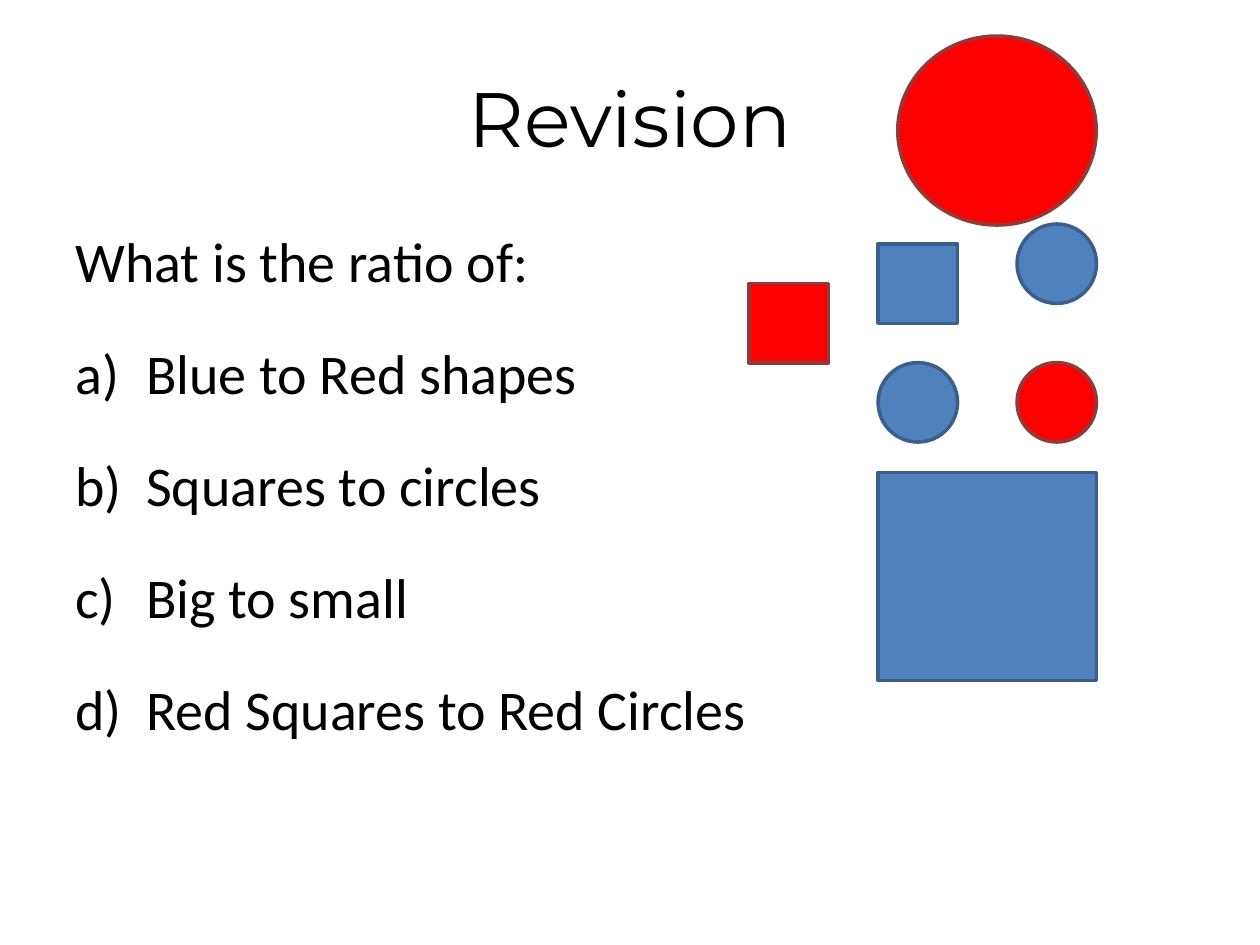
from lxml import etree
from pptx import Presentation
from pptx.dml.color import RGBColor
from pptx.enum.shapes import MSO_SHAPE
from pptx.enum.text import MSO_ANCHOR, PP_ALIGN
from pptx.oxml.ns import qn
from pptx.util import Pt

BLACK = RGBColor(0x00, 0x00, 0x00)
BLUE = RGBColor(0x4F, 0x81, 0xBD)
DARK_BLUE = RGBColor(0x3A, 0x5F, 0x8C)
RED = RGBColor(0xFF, 0x00, 0x00)
DARK_RED = RGBColor(0x8E, 0x3B, 0x39)
OUTLINES = {BLUE: DARK_BLUE, RED: DARK_RED}

SQUARE, CIRCLE = MSO_SHAPE.RECTANGLE, MSO_SHAPE.OVAL
SMALL = (45.4, 45.4)
LEFT_COLUMN, RIGHT_COLUMN = 501.8, 581.2
LOWER_ROW = 207.2


class RevisionSlide:
    title_font, title_size = "Montserrat", 44
    body_font, body_size = "Calibri", 32
    indent = 40.5

    def __init__(self, slide):
        self.slide = slide

    def add_run(self, paragraph, text, font_name, size):
        run = paragraph.add_run()
        run.text = text
        run.font.name = font_name
        run.font.size = Pt(size)
        run.font.color.rgb = BLACK

    def title(self, text, left, top, width, height):
        title = self.slide.shapes.title
        title.left, title.top = Pt(left), Pt(top)
        title.width, title.height = Pt(width), Pt(height)
        title.text_frame.vertical_anchor = MSO_ANCHOR.MIDDLE
        paragraph = title.text_frame.paragraphs[0]
        paragraph.alignment = PP_ALIGN.CENTER
        self.add_run(paragraph, text, self.title_font, self.title_size)

    def questions(self, prompt, parts, left, top, width, height):
        """Add the prompt followed by its parts, lettered a), b), c)..."""
        box = self.slide.shapes.add_textbox(Pt(left), Pt(top), Pt(width), Pt(height))
        frame = box.text_frame
        frame.word_wrap = True
        self.add_run(frame.paragraphs[0], prompt, self.body_font, self.body_size)
        for part in parts:
            paragraph = frame.add_paragraph()
            properties = paragraph._p.get_or_add_pPr()
            properties.set("marL", str(Pt(self.indent)))
            properties.set("indent", str(-Pt(self.indent)))
            etree.SubElement(properties, qn("a:buAutoNum"), type="alphaLcParenR")
            paragraph.line_spacing = 1.5
            paragraph.space_before = Pt(6.4)
            self.add_run(paragraph, part, self.body_font, self.body_size)

    def counter(self, kind, color, left, top, size=SMALL):
        """Add one of the coloured shapes to be counted."""
        width, height = size
        shape = self.slide.shapes.add_shape(kind, Pt(left), Pt(top), Pt(width), Pt(height))
        shape.shadow.inherit = False
        shape.fill.solid()
        shape.fill.fore_color.rgb = color
        shape.line.color.rgb = OUTLINES[color]
        shape.line.width = Pt(2)


def main():
    presentation = Presentation()
    presentation.slide_width, presentation.slide_height = Pt(720), Pt(540)
    revision = RevisionSlide(presentation.slides.add_slide(presentation.slide_layouts[5]))

    revision.title("Revision", 36, 21.6, 648, 90)
    revision.questions(
        "What is the ratio of:",
        ["Blue to Red shapes", "Squares to circles", "Big to small",
         "Red Squares to Red Circles"],
        36, 126, 648, 356.4)

    revision.counter(SQUARE, BLUE, LEFT_COLUMN, 139.4)
    revision.counter(SQUARE, BLUE, LEFT_COLUMN, 270, size=(124.7, 119))
    revision.counter(SQUARE, RED, 428, 162)
    revision.counter(CIRCLE, BLUE, RIGHT_COLUMN, 128)
    revision.counter(CIRCLE, RED, 513, 20.6, size=(113.4, 108))
    revision.counter(CIRCLE, BLUE, LEFT_COLUMN, LOWER_ROW)
    revision.counter(CIRCLE, RED, RIGHT_COLUMN, LOWER_ROW)

    presentation.save("out.pptx")


if __name__ == "__main__":
    main()
